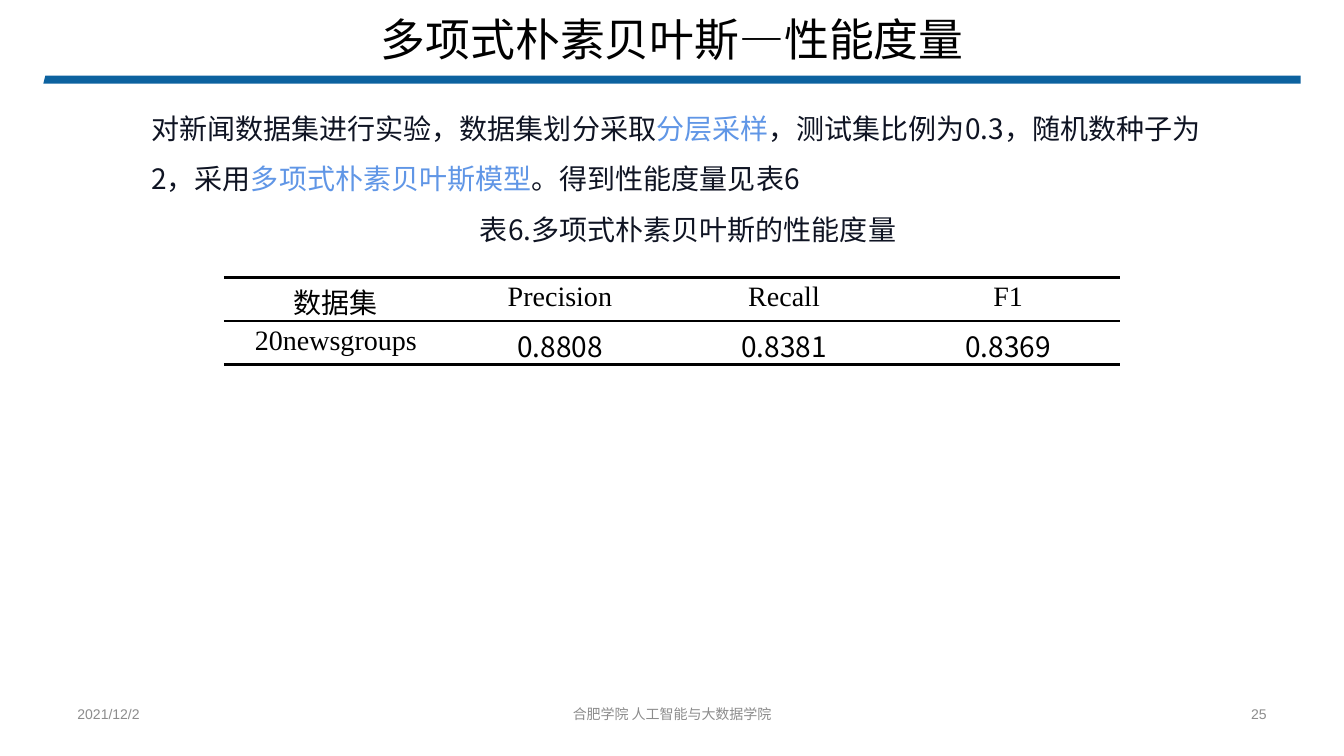
from lxml import etree
from pptx import Presentation
from pptx.dml.color import RGBColor
from pptx.enum.text import MSO_ANCHOR as Anchor, MSO_AUTO_SIZE as AutoSize, PP_ALIGN as Align
from pptx.oxml.ns import qn
from pptx.util import Inches, Pt

SANS, SERIF, ARIAL = "Noto Sans CJK SC", "Times New Roman", "Arial"
BLACK, WHITE, INK, ACCENT, GRAY, BLUE = "000000", "FFFFFF", "0F1423", "6096E6", "8C8C8C", "035C9C"


def color(value):
    return RGBColor.from_string(value)


def add_text(paragraph, text, size=20, font=SANS, fill=BLACK):
    run = paragraph.add_run()
    run.text = text
    run.font.size = Pt(size)
    run.font.name = font
    run.font.color.rgb = color(fill)
    east_asian = etree.SubElement(run._r.get_or_add_rPr(), qn("a:ea"))
    east_asian.set("typeface", SANS)


def place(shape, left, top, width, height):
    shape.left, shape.top = Inches(left), Inches(top)
    shape.width, shape.height = Inches(width), Inches(height)


def set_borders(cell, **widths):
    """Draw the named cell edges in black; a width of 0 hides the edge."""
    properties = cell._tc.get_or_add_tcPr()
    for index, (edge, width) in enumerate(widths.items()):
        line = etree.Element(qn(f"a:{edge}"), w=str(Pt(width)))
        if width:
            fill = etree.SubElement(line, qn("a:solidFill"))
            etree.SubElement(fill, qn("a:srgbClr"), val=BLACK)
        else:
            etree.SubElement(line, qn("a:noFill"))
        properties.insert(index, line)


class SlideBuilder:
    def __init__(self, presentation):
        self.slide = presentation.slides.add_slide(presentation.slide_layouts[1])
        self.shapes = self.slide.shapes

    def rule(self, points, fill, opacity):
        start, *others = [(Inches(x), Inches(y)) for x, y in points]
        builder = self.shapes.build_freeform(*start)
        builder.add_line_segments(others, close=True)
        shape = builder.convert_to_shape()
        shape.shadow.inherit = False
        shape.line.fill.background()
        shape.fill.solid()
        shape.fill.fore_color.rgb = color(fill)
        srgb = shape._element.spPr.find(f".//{qn('a:srgbClr')}")
        etree.SubElement(srgb, qn("a:alpha"), val=str(opacity * 1000))

    def title(self, text, *box):
        shape = self.shapes.title
        place(shape, *box)
        frame = shape.text_frame
        frame.word_wrap = False
        frame.auto_size = AutoSize.NONE
        frame.vertical_anchor = Anchor.TOP
        paragraph = frame.paragraphs[0]
        paragraph.alignment = Align.CENTER
        add_text(paragraph, text, size=32)

    def body(self, paragraphs, *box):
        """Fill the body with (alignment, [(text, colour), ...]) paragraphs."""
        shape = self.slide.placeholders[1]
        place(shape, *box)
        frame = shape.text_frame
        frame.auto_size = AutoSize.NONE
        for index, (alignment, runs) in enumerate(paragraphs):
            paragraph = frame.add_paragraph() if index else frame.paragraphs[0]
            paragraph.alignment = alignment
            paragraph.line_spacing = 1.5
            paragraph.space_before = Pt(0)
            properties = paragraph._p.get_or_add_pPr()
            properties.set("marL", str(Inches(0.31)))
            properties.set("indent", "0")
            etree.SubElement(properties, qn("a:buNone"))
            for text, fill in runs:
                add_text(paragraph, text, fill=fill)

    def footer(self, text, left, width, alignment):
        shape = self.shapes.add_textbox(Inches(left), Inches(6.91), Inches(width), Inches(0.35))
        frame = shape.text_frame
        frame.word_wrap = True
        frame.vertical_anchor = Anchor.MIDDLE
        paragraph = frame.paragraphs[0]
        paragraph.alignment = alignment
        add_text(paragraph, text, size=10, font=ARIAL, fill=GRAY)

    def table(self, rows, *box):
        """Three-line table: thick top and bottom rules, thin header rule."""
        frame = self.shapes.add_table(len(rows), len(rows[0]), *map(Inches, box))
        table = frame.table
        table.first_row = table.horz_banding = False
        for row_index, row in enumerate(rows):
            top = 1 if row_index else 2.25
            bottom = 2.25 if row_index == len(rows) - 1 else 1
            for column_index, (text, font) in enumerate(row):
                cell = table.cell(row_index, column_index)
                cell.margin_top, cell.margin_bottom = Inches(0.04), 0
                cell.fill.solid()
                cell.fill.fore_color.rgb = color(WHITE)
                set_borders(cell, lnL=0, lnR=0, lnT=top, lnB=bottom)
                paragraph = cell.text_frame.paragraphs[0]
                paragraph.alignment = Align.CENTER
                add_text(paragraph, text, font=font)


def main():
    presentation = Presentation()
    presentation.slide_width, presentation.slide_height = Inches(13.33), Inches(7.5)
    builder = SlideBuilder(presentation)
    builder.rule([(0.43, 0.83), (12.9, 0.83), (12.9, 0.75), (0.45, 0.75)], BLUE, opacity=96)
    builder.title("多项式朴素贝叶斯—性能度量", 3.65, 0.07, 6.04, 0.64)
    builder.footer("2021/12/2", 0.67, 2.95, Align.LEFT)
    builder.footer("25", 9.71, 2.95, Align.RIGHT)
    builder.footer("合肥学院 人工智能与大数据学院", 4.5, 4.33, Align.CENTER)
    builder.body([
        (Align.LEFT, [
            ("对新闻数据集进行实验，数据集划分采取", INK),
            ("分层采样", ACCENT),
            ("，测试集比例为0.3，随机数种子为2，采用", INK),
            ("多项式朴素贝叶斯模型", ACCENT),
            ("。得到性能度量见表6", INK),
        ]),
        (Align.CENTER, [("表6.多项式朴素贝叶斯的性能度量", INK)]),
    ], 1.09, 0.89, 11.16, 2.04)
    builder.table([
        [("数据集", SANS), ("Precision", SERIF), ("Recall", SERIF), ("F1", SERIF)],
        [("20newsgroups", SERIF), ("0.8808", SANS), ("0.8381", SANS), ("0.8369", SANS)],
    ], 2.22, 2.75, 8.89, 0.87)
    presentation.save("out.pptx")


if __name__ == "__main__":
    main()
